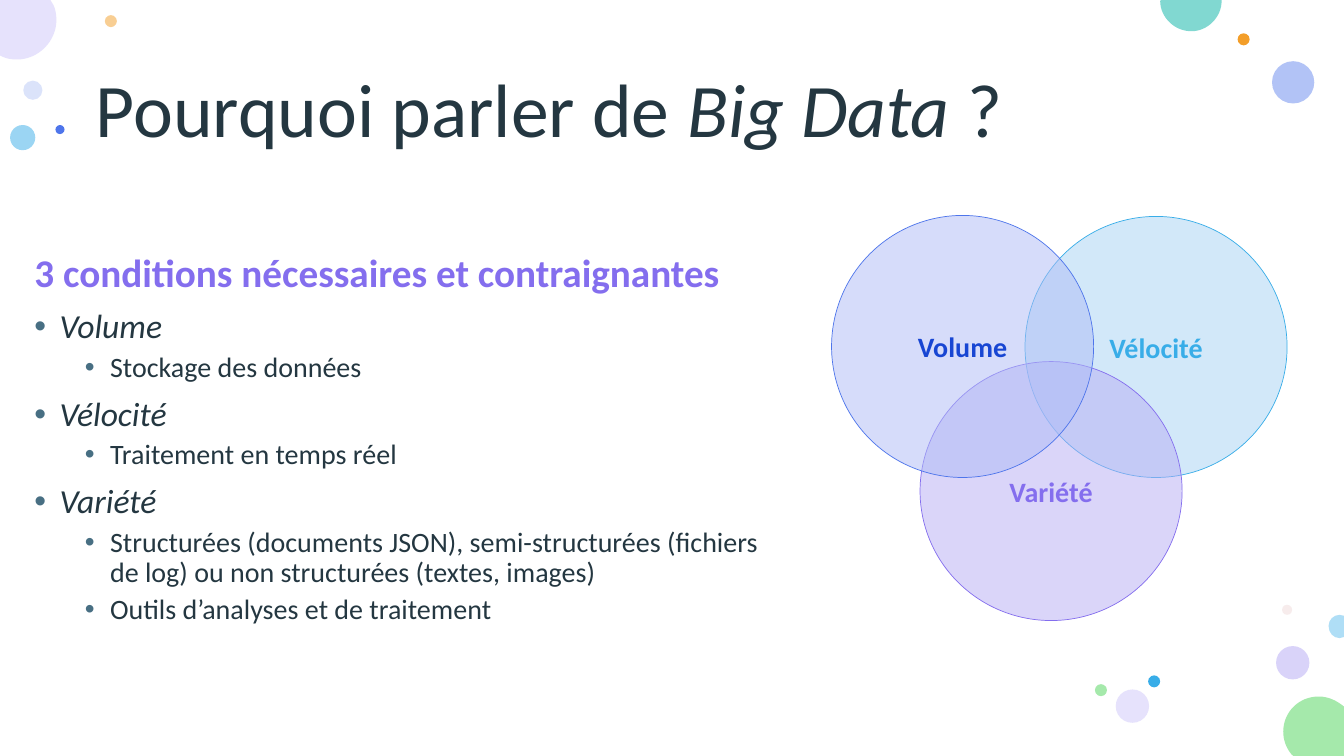
from lxml.etree import SubElement
from pptx import Presentation
from pptx.dml.color import RGBColor
from pptx.enum.shapes import MSO_SHAPE
from pptx.enum.text import MSO_ANCHOR, MSO_AUTO_SIZE, PP_ALIGN
from pptx.oxml.ns import qn
from pptx.util import Pt

FONT = "Calibri"
DARK, VIOLET, BULLET = "243741", "846EEE", "486F83"

# left, top, diameter, colour, opacity in percent
BUBBLES = [
    (16.6, 57.6, 13.7, "B8C8F7", 50),
    (74.9, 10.8, 8.6, "F39E29", 50),
    (911.5, 461.5, 23.8, "B5A8F5", 50),
    (7.2, 89.3, 18, "38ADE8", 50),
    (908.6, 43.7, 30.2, "95ACF3", 72),
    (884, 23.8, 8.6, "F39E29", 100),
    (915.8, 432, 7.2, "E3BEBE", 28),
    (820.1, 482.4, 8.6, "38ADE8", 100),
    (797, 492.5, 23.8, "E6E2FC", 100),
    (782.1, 488.7, 8.6, "A5E9AB", 100),
    (39.6, 89.3, 6.5, "4E75EB", 100),
]

# colour, then the outline: each step is one corner or the three points of a curve
EDGE_BUBBLES = [
    ("A5E9AB", [
        [(941.8, 497.5)],
        [(949, 497.5), (954.7, 500.4), (960, 504.7)],
        [(960, 540)], [(923.8, 540)], [(922.3, 538.6)],
        [(918.7, 534.2), (916.6, 528.5), (916.6, 522.7)],
        [(916.6, 508.3), (928.1, 497.5), (941.8, 497.5)]]),
    ("E6E2FC", [
        [(0, 0)], [(36, 0)], [(38.2, 3.6)],
        [(39.6, 6.5), (40.3, 10.1), (40.3, 14.4)],
        [(40.3, 29.5), (27.4, 42.5), (12.2, 42.5)],
        [(7.9, 42.5), (4.3, 41.8), (1.4, 40.3)],
        [(0, 39.6)]]),
    ("81D8D1", [
        [(829.4, 0)], [(872.6, 0)], [(872.6, 0.7)],
        [(872.6, 12.2), (862.6, 22.3), (851, 22.3)],
        [(838.8, 22.3), (828.7, 12.2), (828.7, 0.7)]]),
    ("AFDEF6", [
        [(956.9, 439.2)], [(960, 439.9)], [(960, 455)], [(956.9, 455.8)],
        [(952.6, 455.8), (949, 452.2), (949, 447.1)],
        [(949, 442.8), (952.6, 439.2), (956.9, 439.2)]]),
]

CONDITIONS = [
    ("Volume", ["Stockage des données"]),
    ("Vélocité", ["Traitement en temps réel"]),
    ("Variété", [
        "Structurées (documents JSON), semi-structurées (fichiers de log) "
        "ou non structurées (textes, images)",
        "Outils d’analyses et de traitement",
    ]),
]

# label, left, top, width, height, fill, line, text colour
VENN = [
    ("Vélocité", 732.2, 154.6, 187.2, 186.5, "A6D3F4", "38ADE8", "38ADE8"),
    ("Variété", 657.2, 258.3, 187.2, 185, "B7ADF5", VIOLET, VIOLET),
    ("Volume", 594, 153.9, 187.2, 187.2, "AEBBF6", "4E75EB", "1846D3"),
]


def rgb(colour):
    return RGBColor.from_string(colour)


def paint(shape, colour, opacity=100):
    """Give the shape a flat fill without outline or shadow."""
    shape.shadow.inherit = False
    shape.fill.solid()
    shape.fill.fore_color.rgb = rgb(colour)
    if opacity < 100:
        fill_colour = next(shape.element.spPr.iter(qn("a:srgbClr")))
        SubElement(fill_colour, qn("a:alpha"), val=str(opacity * 1000))
    shape.line.fill.background()


def add_circle(page, left, top, width, height, colour, opacity):
    circle = page.shapes.add_shape(
        MSO_SHAPE.OVAL, Pt(left), Pt(top), Pt(width), Pt(height))
    paint(circle, colour, opacity)
    return circle


def add_edge_bubble(page, colour, steps):
    """Draw a circle that the edge of the page cuts, with curved sides."""
    points = [(Pt(x), Pt(y)) for step in steps for x, y in step]
    builder = page.shapes.build_freeform(*points[0])
    builder.add_line_segments(points[1:], close=True)
    bubble = builder.convert_to_shape()
    segments = iter(list(bubble.element.iter(qn("a:lnTo"))))
    for step in steps[1:]:
        first, *others = [next(segments) for _ in step]
        if others:
            first.tag = qn("a:cubicBezTo")
        for segment in others:
            first.append(segment[0])
            segment.getparent().remove(segment)
    paint(bubble, colour)


def add_venn_circle(page, label, left, top, width, height, fill, line, colour):
    circle = add_circle(page, left, top, width, height, fill, 50)
    circle.line.color.rgb = rgb(line)
    circle.line.width = Pt(0.5)
    circle.text_frame.vertical_anchor = MSO_ANCHOR.MIDDLE
    para = circle.text_frame.paragraphs[0]
    para.text = label
    para.alignment = PP_ALIGN.CENTER
    set_font(para.font, 20, colour, bold=True)


def set_font(font, size, colour, bold=False, italic=False):
    font.name = FONT
    font.size = Pt(size)
    font.color.rgb = rgb(colour)
    font.bold = bold
    font.italic = italic


def place(box, left, top, width, height):
    box.left, box.top = Pt(left), Pt(top)
    box.width, box.height = Pt(width), Pt(height)
    box.text_frame.word_wrap = True
    box.text_frame.auto_size = MSO_AUTO_SIZE.NONE


def format_line(para, text, space, indent, level=0):
    """Write one list line; an indent of 0 means no bullet."""
    para.text = text
    para.level = level
    para.alignment = PP_ALIGN.LEFT
    para.line_spacing = 0.9
    para.space_before = Pt(space)
    props = para._p.get_or_add_pPr()
    props.set("marL", str(Pt(indent)))
    props.set("indent", str(Pt(-18 if indent else 0)))
    if indent:
        bullet_colour = SubElement(props, qn("a:buClr"))
        SubElement(bullet_colour, qn("a:srgbClr"), val=BULLET)
        SubElement(props, qn("a:buFont"), typeface="Arial")
        SubElement(props, qn("a:buChar"), char="•")
    else:
        SubElement(props, qn("a:buNone"))


def fill_title(title):
    place(title, 61.2, 28.8, 839.5, 104.4)
    title.text_frame.vertical_anchor = MSO_ANCHOR.MIDDLE
    para = title.text_frame.paragraphs[0]
    para.alignment = PP_ALIGN.LEFT
    para.line_spacing = 0.9
    set_font(para.font, 54, DARK)
    for text, italic in [("Pourquoi parler de ", False),
                         ("Big Data", True), (" ?", False)]:
        span = para.add_run()
        span.text = text
        span.font.italic = italic


def fill_body(body):
    place(body, 17.4, 177.5, 555.8, 302.4)
    frame = body.text_frame
    frame.vertical_anchor = MSO_ANCHOR.TOP
    heading = frame.paragraphs[0]
    format_line(heading, "3 conditions nécessaires et contraignantes", 10, 0)
    set_font(heading.font, 28, VIOLET, bold=True)
    for condition, details in CONDITIONS:
        para = frame.add_paragraph()
        format_line(para, condition, 10, 18)
        set_font(para.font, 24, DARK, italic=True)
        for detail in details:
            para = frame.add_paragraph()
            format_line(para, detail, 5, 54, level=1)
            set_font(para.font, 20, DARK)


def main():
    deck = Presentation()
    deck.slide_width, deck.slide_height = Pt(960), Pt(540)
    page = deck.slides.add_slide(deck.slide_layouts[1])
    for left, top, diameter, colour, opacity in BUBBLES:
        add_circle(page, left, top, diameter, diameter, colour, opacity)
    for colour, steps in EDGE_BUBBLES:
        add_edge_bubble(page, colour, steps)
    fill_title(page.shapes.title)
    fill_body(page.placeholders[1])
    for circle in VENN:
        add_venn_circle(page, *circle)
    deck.save("out.pptx")


if __name__ == "__main__":
    main()
